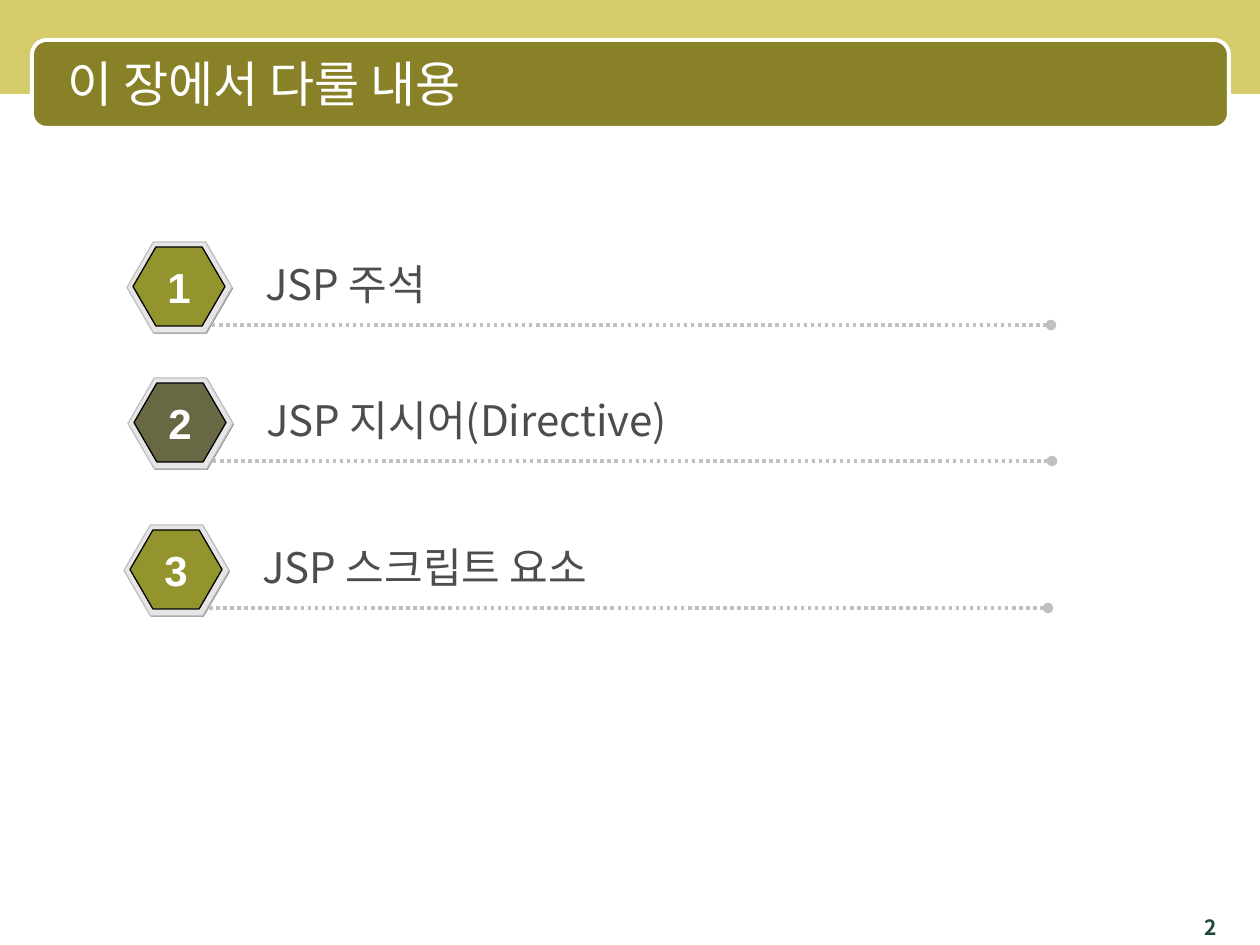
from lxml import etree
from pptx import Presentation
from pptx.dml.color import RGBColor
from pptx.enum.dml import MSO_LINE
from pptx.enum.shapes import MSO_CONNECTOR, MSO_SHAPE
from pptx.enum.text import MSO_ANCHOR, MSO_AUTO_SIZE, PP_ALIGN
from pptx.oxml.ns import qn
from pptx.util import Pt

SCALE = 914400 / 126
RECTANGLE, ROUNDED = MSO_SHAPE.RECTANGLE, MSO_SHAPE.ROUNDED_RECTANGLE
HEXAGON, STRAIGHT = MSO_SHAPE.HEXAGON, MSO_CONNECTOR.STRAIGHT
DOTTED = MSO_LINE.ROUND_DOT
LEFT, CENTER, RIGHT = PP_ALIGN.LEFT, PP_ALIGN.CENTER, PP_ALIGN.RIGHT
MIDDLE = MSO_ANCHOR.MIDDLE
FIT, FIXED = MSO_AUTO_SIZE.SHAPE_TO_FIT_TEXT, MSO_AUTO_SIZE.NONE
KOREAN, LATIN = "Noto Sans CJK KR", "Arial"
COLORS = {
    "band": "D4CC6A", "title": "888128", "white": "FFFFFF", "shade": "808080",
    "rim": "E6E6E6", "gray": "C0C0C0", "olive": "808000", "moss": "333300",
    "black": "000000", "text": "4D4D4D", "page": "1D4940",
}
TOPICS = [
    ("JSP 주석", 127, 242, "olive", 80),
    ("JSP 지시어(Directive)", 128, 378, "moss", 70),
    ("JSP 스크립트 요소", 124, 525, "olive", 80),
]


def px(value):
    return round(value * SCALE)


def color(name):
    return RGBColor.from_string(COLORS[name])


class Painter:
    """Draws styled elements on the current slide, measured in px."""

    def __init__(self, deck):
        self.page = deck.slides.add_slide(deck.slide_layouts[5])

    def shape(self, kind, area, fill, line=None, width=0.75, alpha=None):
        shape = self.page.shapes.add_shape(kind, *map(px, area))
        shape.shadow.inherit = False
        shape.fill.solid()
        shape.fill.fore_color.rgb = color(fill)
        if alpha:
            solid = shape._element.spPr.find(qn("a:solidFill"))
            etree.SubElement(solid[0], qn("a:alpha"), val=str(alpha * 1000))
        if line:
            shape.line.color.rgb = color(line)
            shape.line.width = Pt(width)
        else:
            shape.line.fill.background()
        return shape

    def hexagon(self, area, fill, line=None, alpha=None):
        shape = self.shape(HEXAGON, area, fill, line, alpha=alpha)
        shape.adjustments[0] = 0.29

    def dotted_line(self, left, right, y):
        line = self.page.shapes.add_connector(STRAIGHT, px(left), px(y), px(right), px(y))
        line.line.color.rgb = color("gray")
        line.line.width = Pt(2)
        line.line.dash_style = DOTTED
        outline = line._element.spPr.find(qn("a:ln"))
        etree.SubElement(outline, qn("a:tailEnd"), type="oval")
        etree.SubElement(line._element.spPr, qn("a:effectLst"))

    def fill_text(self, frame, text, size, ink, font=KOREAN, bold=False, align=LEFT):
        frame.text = text
        para = frame.paragraphs[0]
        para.alignment = align
        span = para.runs[0]
        span.font.size = Pt(size)
        span.font.bold = bold
        span.font.name = font
        span.font.color.rgb = color(ink)
        etree.SubElement(span._r.get_or_add_rPr(), qn("a:ea"), typeface=font)

    def text(self, area, text, size, ink, wrap=True, fit=FIT, **style):
        box = self.page.shapes.add_textbox(*map(px, area))
        box.text_frame.word_wrap = wrap
        box.text_frame.auto_size = fit
        self.fill_text(box.text_frame, text, size, ink, **style)

    def title(self, area, text):
        title = self.page.shapes.title
        title.left, title.top, title.width, title.height = map(px, area)
        frame = title.text_frame
        frame.vertical_anchor = MIDDLE
        frame.auto_size = FIXED
        self.fill_text(frame, text, 28, "white")
        properties = frame.paragraphs[0]._p.get_or_add_pPr()
        properties.set("marL", str(px(62)))
        properties.set("indent", str(px(-49)))
        self.page.shapes._spTree.append(title._element)

    def topic(self, number, text, left, top, fill, alpha):
        self.hexagon((left + 1, top + 1, 105, 91), "shade")
        self.hexagon((left, top, 105, 91), "rim", "gray")
        self.hexagon((left + 6, top + 5, 92, 79), fill, "black", alpha)
        self.dotted_line(left + 85, left + 924, top + 83)
        self.text((left + 126, top + 10, 788, 63), text, 24, "text")
        self.text((left + 28, top + 13, 48, 63), str(number), 24, "white",
                  wrap=False, font=LATIN, bold=True, align=CENTER)


def main():
    deck = Presentation()
    deck.slide_width, deck.slide_height = px(1260), px(945)
    painter = Painter(deck)
    painter.shape(RECTANGLE, (-1, 0, 1262, 94), "band")
    painter.shape(ROUNDED, (32, 40, 1197, 88), "title", "white", 2.25)
    painter.text((1113, 908, 116, 37), "2", 12, "page", fit=FIXED, bold=True, align=RIGHT)
    painter.title((42, 44, 1176, 78), "이 장에서 다룰 내용")
    for number, topic in enumerate(TOPICS, 1):
        painter.topic(number, *topic)
    deck.save("out.pptx")


if __name__ == "__main__":
    main()
